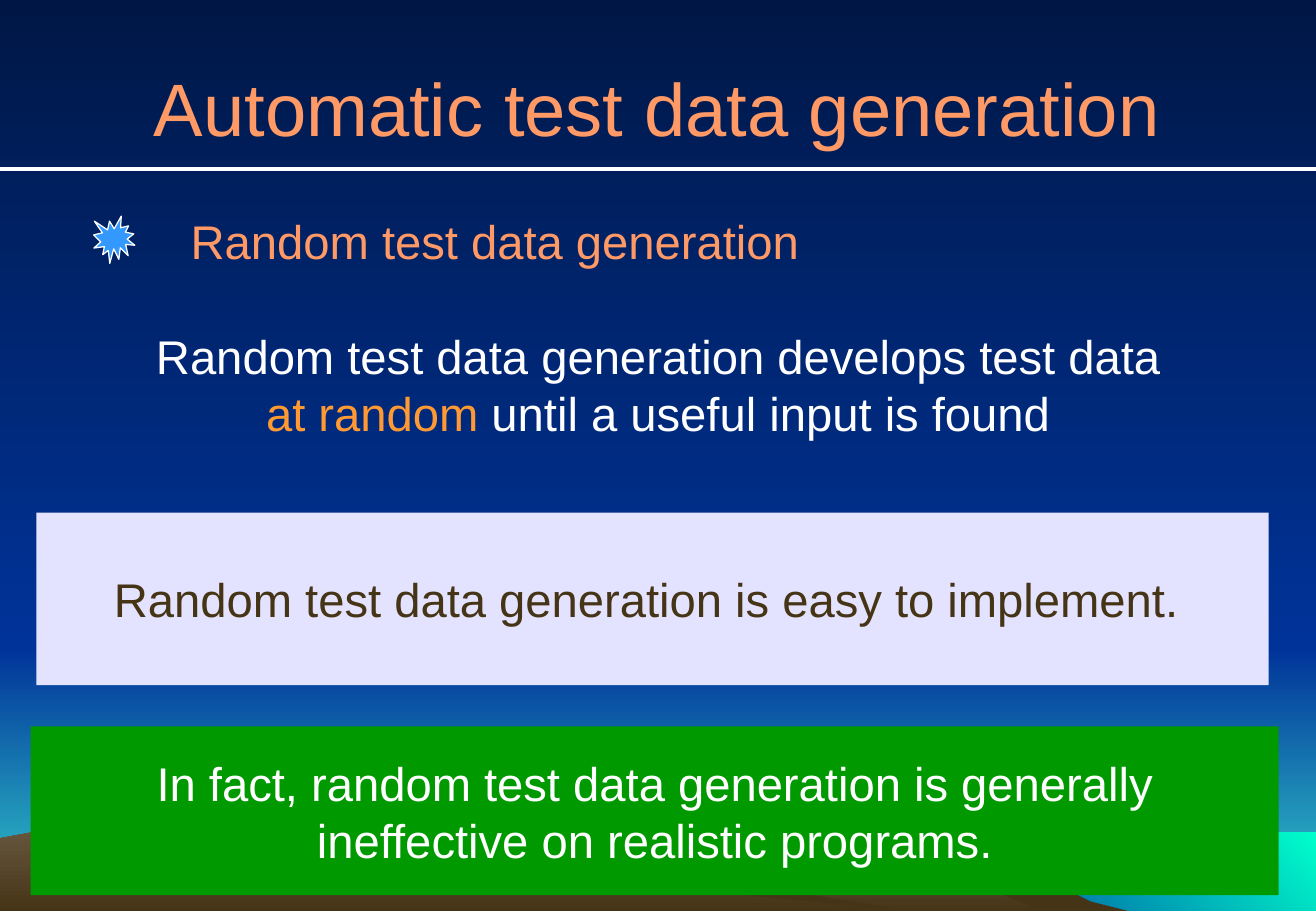
"""Build the slide on random test data generation."""
from lxml import etree
from pptx import Presentation, util as u
from pptx.dml.color import RGBColor
from pptx.enum import shapes, text
from pptx.oxml.ns import qn

SIZE = (27.53, 19.05)
THEME = {
    "font": "Arial", "title": 44, "body": 28,
    "white": "FFFFFF", "coral": "FF9966", "orange": "FF9933",
    "brown": "463416", "lilac": "E3E3FF", "green": "009900", "star": "3399FF",
    "sky": ("001746", "003399"), "horizon": ("003399", "33CCCC"),
    "water": ("00FFCC", "003399"),
    "far hill": ("837763", "463416"), "near hill": ("72644E", "463416"),
}
DOWN, DIAGONAL = 270, 225

BACKDROP = [
    ("horizon", DOWN, (0, 13.54, 27.53, 5.51)),
    ("sky", DOWN, (0, 0, 27.53, 13.54)),
    ("water", DIAGONAL, (18.8, 17.4, 8.73, 1.65)),
]
HILLS = [
    ("far hill", [(7.11, 19.05), (9, 18), (10.85, 17.4), (12.2, 17.04), (12.75, 16.71),
                  (13.09, 16.71), (13.36, 17.1), (14.55, 17.17), (15.6, 17.7),
                  (16.87, 17.3), (18.03, 17.04), (18.85, 16.76), (19.9, 17.73),
                  (21, 18.36), (21.41, 18.47), (22.07, 18.8), (22.58, 19.05)]),
    ("brown", [(21.9, 18.39), (21.23, 18.39), (20.19, 17.86), (19.46, 17.04),
               (18.85, 16.76), (19.23, 17.83), (19.08, 18.62), (19.81, 18.21),
               (21.79, 19.05), (23.6, 19.05), (22.81, 18.85)]),
    ("near hill", [(0, 19.05), (0, 17.53), (0.71, 17.4), (1.55, 16.99), (2.59, 17.04),
                   (4.09, 16.94), (5.41, 16.71), (6.12, 16.81), (6.48, 17.3),
                   (7.47, 17.32), (8.13, 17.17), (9.12, 16.84), (9.73, 16.89),
                   (11.89, 18.08), (18.36, 19), (19, 19.05)]),
    ("brown", [(9.73, 16.89), (9.35, 17), (9.27, 17.45), (10.01, 17.55), (10.29, 18.08),
               (11.2, 18.47), (13, 18.47), (19, 19.05), (12.52, 17.96), (11.3, 17.37),
               (10.16, 16.97)]),
]
RULE_TOP = 3.53
STAR = (1.96, 4.52, 0.86, 0.99)

TEXTS = [
    ((1.37, 0.64, 24.77, 3.18), None, "title", [[("Automatic test data generation", "coral")]]),
    ((0, 6.53, 27.53, 3), None, "body", [
        [("Random test data generation develops test data", "white")],
        [("at random", "orange"), (" until a useful input is found", "white")]]),
    ((0.76, 10.72, 25.78, 3.61), "lilac", "body",
     [[("Random test data generation is easy to implement. ", "brown")]]),
    ((0, 3.94, 20.7, 2.18), None, "body", [[("Random test data generation", "coral")]]),
    ((0.64, 15.19, 26.11, 3.53), "green", "body", [
        [("In fact, random test data generation is generally", "white")],
        [("ineffective on realistic programs.", "white")]]),
]


def color(name):
    return RGBColor.from_string(THEME[name])


def paint(shape, name, angle=DOWN):
    shape.shadow.inherit = False
    shape.line.fill.background()
    if isinstance(THEME[name], str):
        shape.fill.solid()
        shape.fill.fore_color.rgb = color(name)
        return
    shape.fill.gradient()
    shape.fill.gradient_angle = angle
    for position, (stop, tone) in enumerate(zip(shape.fill.gradient_stops, THEME[name])):
        stop.position = position
        stop.color.rgb = RGBColor.from_string(tone)


def add_preset(slide, kind, box, fill, angle=DOWN):
    shape = slide.shapes.add_shape(kind, *map(u.Cm, box))
    paint(shape, fill, angle)
    return shape


def add_hill(slide, fill, outline):
    points = [(u.Cm(x), u.Cm(y)) for x, y in outline]
    builder = slide.shapes.build_freeform(*points[0])
    builder.add_line_segments(points[1:], close=True)
    paint(builder.convert_to_shape(), fill)


def add_text(slide, box, fill, size, lines):
    if fill:
        shape = add_preset(slide, shapes.MSO_SHAPE.RECTANGLE, box, fill)
    else:
        shape = slide.shapes.add_textbox(*map(u.Cm, box))
    frame = shape.text_frame
    frame.word_wrap = True
    frame.vertical_anchor = text.MSO_ANCHOR.MIDDLE
    for index, line in enumerate(lines):
        paragraph = frame.add_paragraph() if index else frame.paragraphs[0]
        paragraph.alignment = text.PP_ALIGN.CENTER
        paragraph.font.name = THEME["font"]
        paragraph.font.size = u.Pt(THEME[size])
        for words, tone in line:
            run = paragraph.add_run()
            run.text = words
            run.font.color.rgb = color(tone)


def add_rule(slide, top):
    rule = slide.shapes.add_connector(
        shapes.MSO_CONNECTOR.STRAIGHT, 0, u.Cm(top), u.Cm(SIZE[0]), u.Cm(top))
    rule.line.color.rgb = color("white")
    rule.line.width = u.Pt(2.25)
    etree.SubElement(rule._element.spPr, qn("a:effectLst"))


def main():
    presentation = Presentation()
    presentation.slide_width, presentation.slide_height = map(u.Cm, SIZE)
    slide = presentation.slides.add_slide(presentation.slide_layouts[6])
    for fill, angle, box in BACKDROP:
        add_preset(slide, shapes.MSO_SHAPE.RECTANGLE, box, fill, angle)
    for fill, outline in HILLS:
        add_hill(slide, fill, outline)
    add_rule(slide, RULE_TOP)
    for box, fill, size, lines in TEXTS:
        add_text(slide, box, fill, size, lines)
    star = add_preset(slide, shapes.MSO_SHAPE.EXPLOSION1, STAR, "star")
    star.line.color.rgb = color("white")
    star.line.width = u.Pt(0.75)
    presentation.save("out.pptx")


if __name__ == "__main__":
    main()
